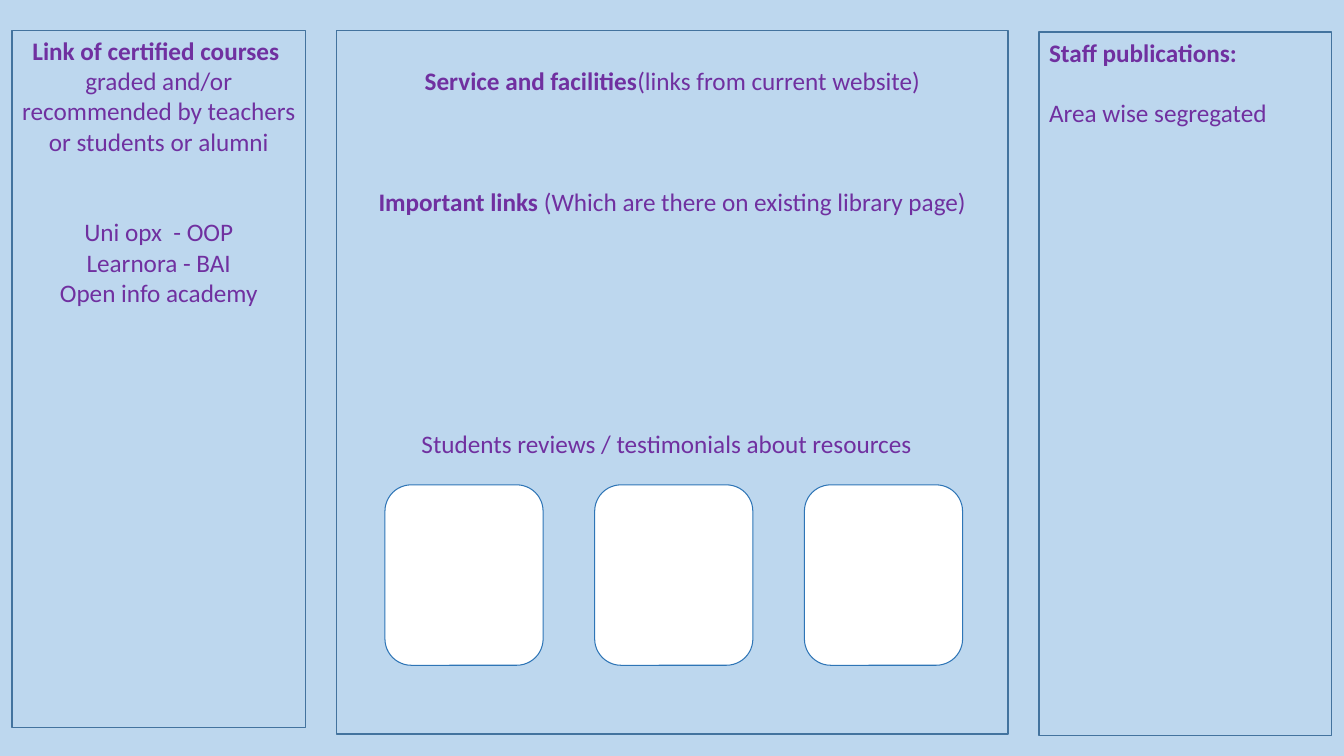
"""Build the library page layout slide with three panels and review cards."""
from dataclasses import dataclass

from pptx import Presentation
from pptx.dml.color import RGBColor
from pptx.enum import shapes, text
from pptx.util import Pt

SKY, EDGE, BLUE, WHITE, PLUM = "BDD7EE", "43739E", "2E75B6", "FFFFFF", "7030A0"
LEFT, MID = text.PP_ALIGN.LEFT, text.PP_ALIGN.CENTER
RECT = shapes.MSO_SHAPE.RECTANGLE
ROUND = shapes.MSO_SHAPE.ROUNDED_RECTANGLE
ROW = 21.6
INSET = 3.6


@dataclass
class Line:
    bold: str = ""
    plain: str = ""
    gap: int = 0


@dataclass
class Panel:
    x: float
    y: float
    w: float
    h: float
    align: text.PP_ALIGN
    lines: list[Line]


PANELS = [
    Panel(8.64, 21.6, 209.5, 498.2, MID, [
        Line("Link of certified courses  ",
             "graded and/or recommended by teachers or students or alumni"),
        Line(plain="Uni opx  - OOP", gap=2),
        Line(plain="Learnora - BAI"),
        Line(plain="Open info academy"),
    ]),
    Panel(742.3, 23, 208.8, 502.6, LEFT, [
        Line("Staff publications:"),
        Line(plain="Area wise segregated", gap=1),
    ]),
    Panel(240.5, 21.6, 479.5, 502.6, MID, [
        Line("Service and facilities", "(links from current website)", 1),
        Line("Important links ", "(Which are there on existing library page)", 3),
        Line(plain="Students reviews / testimonials about resources  ", gap=7),
    ]),
]


def paint(code: str) -> RGBColor:
    """Turn a hex string into a colour."""
    return RGBColor.from_string(code)


def box(kind, x: float, y: float, w: float, h: float,
        fill: str, edge: str, width: float = 1):
    """Add a filled and outlined shape."""
    item = slide.shapes.add_shape(kind, Pt(x), Pt(y), Pt(w), Pt(h))
    item.shadow.inherit = False
    item.fill.solid()
    item.fill.fore_color.rgb = paint(fill)
    item.line.color.rgb = paint(edge)
    item.line.width = Pt(width)
    return item


def panel(data: Panel) -> None:
    """Add a panel with its lines of text."""
    frame = box(RECT, data.x, data.y, data.w, data.h, SKY, EDGE).text_frame
    frame.word_wrap = True
    frame.vertical_anchor = text.MSO_ANCHOR.TOP
    frame.margin_top = Pt(INSET + ROW * data.lines[0].gap)
    for i, line in enumerate(data.lines):
        para = frame.add_paragraph() if i else frame.paragraphs[0]
        para.alignment = data.align
        para.space_before = Pt(ROW * line.gap if i else 0)
        para.font.name = "Calibri"
        para.font.size = Pt(18)
        para.font.color.rgb = paint(PLUM)
        for words, bold in ((line.bold, True), (line.plain, False)):
            if words:
                run = para.add_run()
                run.text = words
                run.font.bold = bold


deck = Presentation()
deck.slide_width, deck.slide_height = Pt(960), Pt(540)
slide = deck.slides.add_slide(deck.slide_layouts[6])

box(RECT, 0, 0, 960, 561.6, SKY, SKY)
for data in PANELS:
    panel(data)
for i in range(3):
    box(ROUND, 275 + 149.8 * i, 346.3, 113, 128.9, WHITE, BLUE, 0.75)

deck.save("out.pptx")
